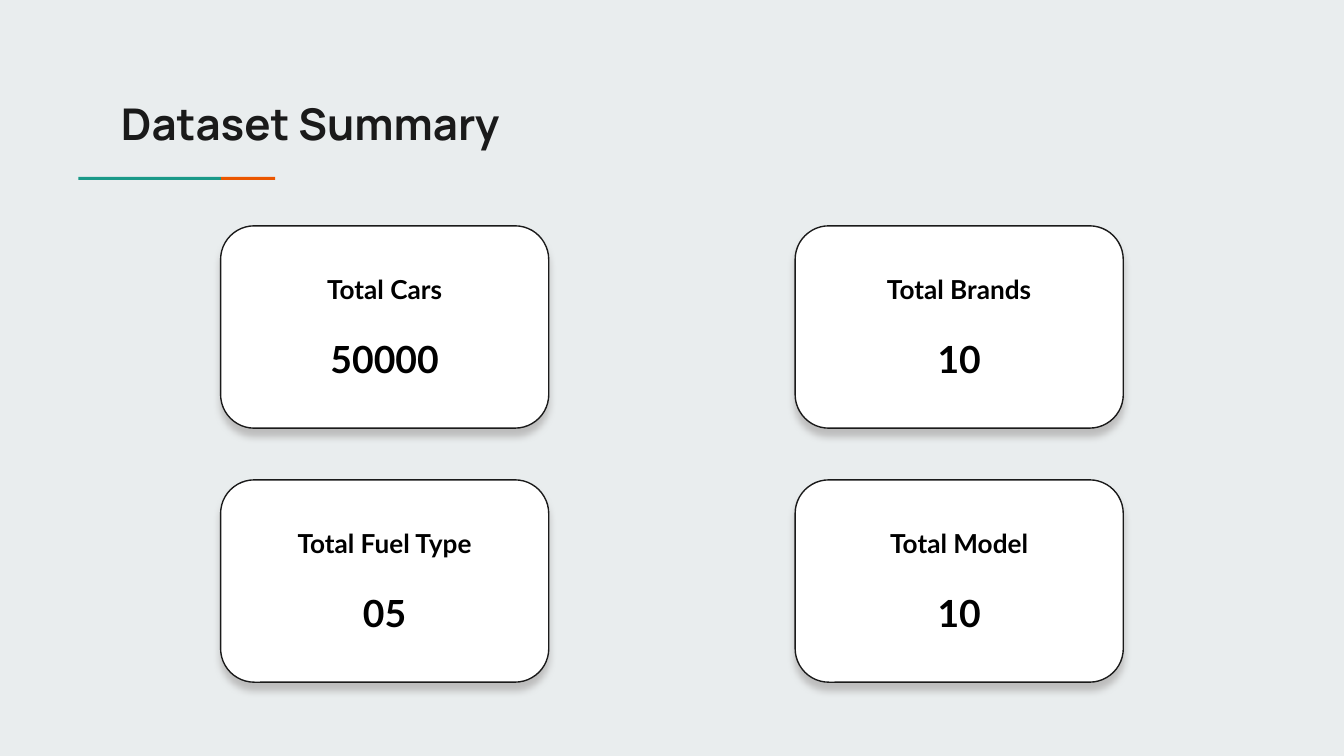
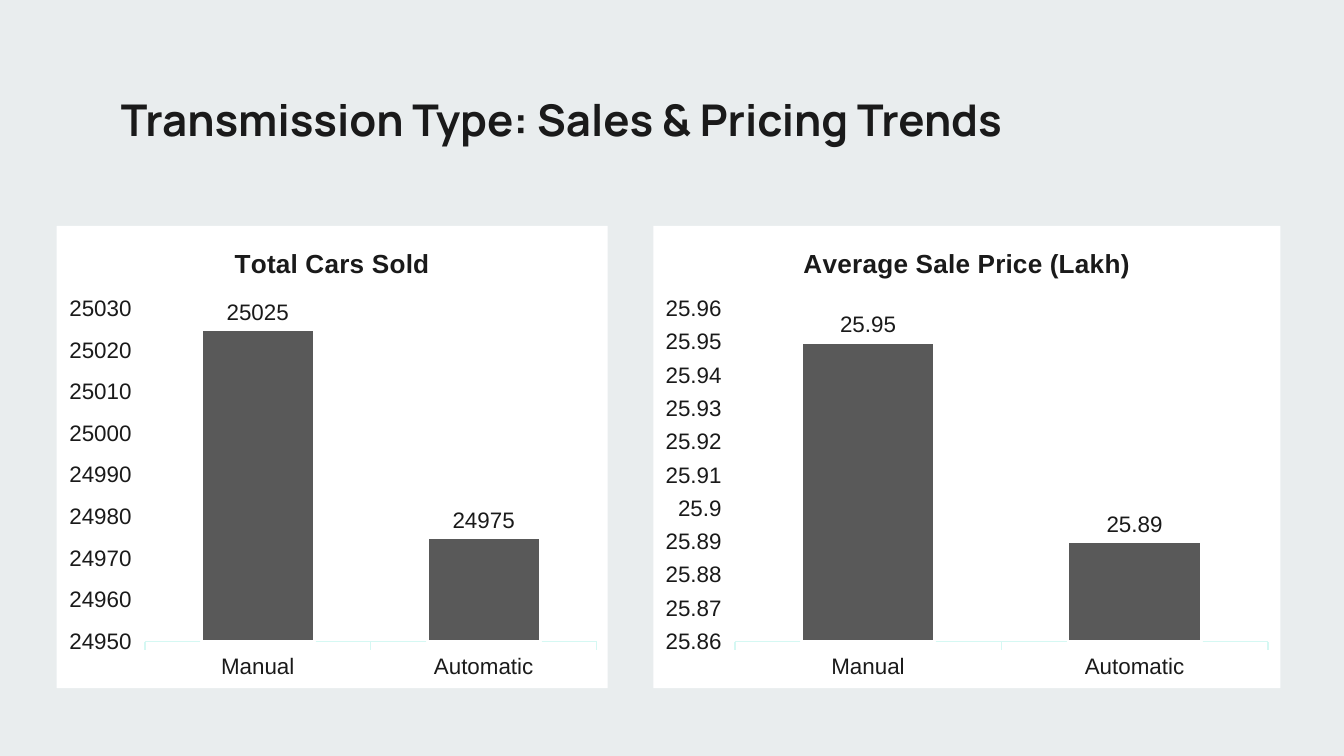
from dataclasses import dataclass

from lxml import etree
from pptx import Presentation
from pptx.chart.data import CategoryChartData
from pptx.dml.color import RGBColor
from pptx.enum.chart import XL_CHART_TYPE, XL_LABEL_POSITION, XL_TICK_MARK
from pptx.enum.shapes import MSO_SHAPE
from pptx.enum.text import MSO_ANCHOR, MSO_AUTO_SIZE, PP_ALIGN
from pptx.oxml import parse_xml
from pptx.oxml.ns import nsdecls, qn
from pptx.util import Pt

RECTANGLE = MSO_SHAPE.RECTANGLE
ROUNDED = MSO_SHAPE.ROUNDED_RECTANGLE
COLUMNS = XL_CHART_TYPE.COLUMN_CLUSTERED
OUTSIDE_END = XL_LABEL_POSITION.OUTSIDE_END
TICK_OUTSIDE = XL_TICK_MARK.OUTSIDE
LEFT, CENTER = PP_ALIGN.LEFT, PP_ALIGN.CENTER
TOP, MIDDLE = MSO_ANCHOR.TOP, MSO_ANCHOR.MIDDLE
NO_AUTOFIT = MSO_AUTO_SIZE.NONE

# Shared style
PAGE_WIDTH, PAGE_HEIGHT = 720, 405
TITLE_ONLY = 5
INSET = 7.2
TITLE_FONT, CARD_FONT, CHART_FONT = "Manrope", "Lato", "Arial"
MIST, WHITE, INK, BLACK = "E9EDEE", "FFFFFF", "1A1A1A", "000000"
TEAL, ORANGE = "1A9988", "EB5600"
BAR_GREY, AXIS_MINT, SHADOW_GREY = "595959", "D5F8F3", "BDBDBD"


@dataclass
class Stripe:
    left: float
    top: float
    width: float
    height: float
    color: str


@dataclass
class Card:
    label: str
    value: str
    column: int
    row: int


@dataclass
class ColumnChart:
    title: str
    left: float
    width: float
    values: tuple
    low: float
    high: float
    step: float
    plot_left: float
    plot_width: float


ACCENT_LINE = [
    Stripe(42, 94.8, 76.4, 1.6, TEAL),
    Stripe(118.4, 94.8, 29, 1.6, ORANGE),
]
BACKDROP = [
    Stripe(0, 0, PAGE_WIDTH, 38, MIST),
    Stripe(0, 34.4, PAGE_WIDTH, PAGE_HEIGHT - 34.4, MIST),
]

CARDS = [
    Card("Total Cars", "50000", 0, 0),
    Card("Total Fuel Type", "05", 0, 1),
    Card("Total Brands", "10", 1, 0),
    Card("Total Model", "10", 1, 1),
]
CARD_LEFT, CARD_TOP = 118.2, 121
CARD_WIDTH, CARD_HEIGHT = 175.8, 108.4
CARD_STEP_X, CARD_STEP_Y = 307.8, 136.1

CATEGORIES = ("Manual", "Automatic")
CHARTS = [
    ColumnChart("Average Sale Price (Lakh)", 350, 336, (25.95, 25.89),
                25.86, 25.96, 0.01, 0.13, 0.85),
    ColumnChart("Total Cars Sold", 30.4, 295.2, (25025, 24975),
                24950, 25030, 10, 0.16, 0.82),
]
CHART_TOP, CHART_HEIGHT = 121, 247.6
PLOT_TOP, PLOT_HEIGHT = 0.18, 0.72


def rgb(color: str) -> RGBColor:
    return RGBColor.from_string(color)


def style_font(font, size: float, color: str, name: str, bold: bool = False) -> None:
    font.size = Pt(size)
    font.name = name
    font.bold = bold
    font.color.rgb = rgb(color)


def set_insets(frame) -> None:
    frame.margin_left = frame.margin_right = Pt(INSET)
    frame.margin_top = frame.margin_bottom = Pt(INSET)


def add_page(deck, background: str):
    page = deck.slides.add_slide(deck.slide_layouts[TITLE_ONLY])
    page.background.fill.solid()
    page.background.fill.fore_color.rgb = rgb(background)
    return page


def set_title(page, text: str, top: float) -> None:
    box = page.shapes.title
    box.left, box.top, box.width, box.height = Pt(57.6), Pt(top), Pt(605.5), Pt(42.5)
    frame = box.text_frame
    frame.word_wrap = True
    frame.auto_size = NO_AUTOFIT
    frame.vertical_anchor = TOP
    set_insets(frame)
    para = frame.paragraphs[0]
    para.alignment = LEFT
    span = para.add_run()
    span.text = text
    style_font(span.font, 23.4, INK, TITLE_FONT, True)


def draw_stripe(page, stripe: Stripe) -> None:
    box = page.shapes.add_shape(RECTANGLE, Pt(stripe.left), Pt(stripe.top),
                                Pt(stripe.width), Pt(stripe.height))
    box.shadow.inherit = False
    box.fill.solid()
    box.fill.fore_color.rgb = rgb(stripe.color)
    box.line.fill.background()


def add_drop_shadow(box) -> None:
    box.shadow.inherit = False
    effects = box.element.spPr.find(qn("a:effectLst"))
    shadow = etree.SubElement(effects, qn("a:outerShdw"), blurRad=str(Pt(4)),
                              dist=str(Pt(4)), dir="5400000", algn="t", rotWithShape="0")
    etree.SubElement(shadow, qn("a:srgbClr"), val=SHADOW_GREY)


def draw_card(page, card: Card) -> None:
    box = page.shapes.add_shape(ROUNDED, Pt(CARD_LEFT + card.column * CARD_STEP_X),
                                Pt(CARD_TOP + card.row * CARD_STEP_Y),
                                Pt(CARD_WIDTH), Pt(CARD_HEIGHT))
    box.fill.solid()
    box.fill.fore_color.rgb = rgb(WHITE)
    box.line.color.rgb = rgb(INK)
    box.line.width = Pt(0.75)
    add_drop_shadow(box)

    frame = box.text_frame
    frame.word_wrap = True
    frame.vertical_anchor = MIDDLE
    set_insets(frame)
    label, value = frame.paragraphs[0], frame.add_paragraph()
    label.space_after = Pt(16.8)
    for para, text, size in ((label, card.label, 14), (value, card.value, 20)):
        para.alignment = CENTER
        span = para.add_run()
        span.text = text
        style_font(span.font, size, BLACK, CARD_FONT, True)


def fill_chart_area(chart, color: str) -> None:
    area = parse_xml(
        f'<c:spPr {nsdecls("c", "a")}><a:solidFill><a:srgbClr val="{color}"/></a:solidFill>'
        "<a:ln><a:noFill/></a:ln></c:spPr>")
    chart.element.find(qn("c:chart")).addnext(area)


def place_plot(chart, left: float, width: float) -> None:
    plot_area = chart.element.find(qn("c:chart")).find(qn("c:plotArea"))
    for old in plot_area.findall(qn("c:layout")):
        plot_area.remove(old)
    layout = etree.Element(qn("c:layout"))
    manual = etree.SubElement(layout, qn("c:manualLayout"))
    settings = (("layoutTarget", "inner"), ("xMode", "edge"), ("yMode", "edge"),
                ("x", left), ("y", PLOT_TOP), ("w", width), ("h", PLOT_HEIGHT))
    for tag, value in settings:
        etree.SubElement(manual, qn(f"c:{tag}"), val=str(value))
    plot_area.insert(0, layout)


def style_axes(chart, item: ColumnChart) -> None:
    for axis in (chart.category_axis, chart.value_axis):
        axis.has_major_gridlines = False
        axis.major_tick_mark = TICK_OUTSIDE
        style_font(axis.tick_labels.font, 12, INK, CHART_FONT)
    chart.category_axis.format.line.color.rgb = rgb(AXIS_MINT)
    chart.category_axis.format.line.width = Pt(0.75)
    scale = chart.value_axis
    scale.format.line.fill.background()
    scale.minimum_scale, scale.maximum_scale = item.low, item.high
    scale.major_unit = item.step


def draw_chart(page, item: ColumnChart) -> None:
    data = CategoryChartData()
    data.categories = CATEGORIES
    data.add_series("Series 1", item.values)
    chart = page.shapes.add_chart(COLUMNS, Pt(item.left), Pt(CHART_TOP), Pt(item.width),
                                  Pt(CHART_HEIGHT), data).chart
    style_font(chart.font, 10, TEAL, CHART_FONT)
    chart.has_legend = False
    fill_chart_area(chart, WHITE)
    place_plot(chart, item.plot_left, item.plot_width)
    style_axes(chart, item)

    # Chart title
    chart.has_title = True
    span = chart.chart_title.text_frame.paragraphs[0].add_run()
    span.text = item.title
    style_font(span.font, 14, INK, CHART_FONT, True)

    # Columns and their labels
    plot = chart.plots[0]
    plot.gap_width = 100
    plot.vary_by_categories = False
    columns = plot.series[0]
    columns.format.fill.solid()
    columns.format.fill.fore_color.rgb = rgb(BAR_GREY)
    columns.format.line.color.rgb = rgb(WHITE)
    columns.format.line.width = Pt(1.5)
    labels = columns.data_labels
    labels.show_value = True
    labels.position = OUTSIDE_END
    style_font(labels.font, 12, INK, CHART_FONT)


def build_summary(deck) -> None:
    page = add_page(deck, MIST)
    for stripe in ACCENT_LINE:
        draw_stripe(page, stripe)
    set_title(page, "Dataset Summary", 44.6)
    for card in CARDS:
        draw_card(page, card)


def build_transmission(deck) -> None:
    page = add_page(deck, WHITE)
    for stripe in BACKDROP:
        draw_stripe(page, stripe)
    # Lift the title above the backdrop
    page.shapes.element.append(page.shapes.title.element)
    set_title(page, "Transmission Type: Sales & Pricing Trends", 42.5)
    for item in CHARTS:
        draw_chart(page, item)


def main() -> None:
    deck = Presentation()
    deck.slide_width, deck.slide_height = Pt(PAGE_WIDTH), Pt(PAGE_HEIGHT)
    build_summary(deck)
    build_transmission(deck)
    deck.save("out.pptx")


if __name__ == "__main__":
    main()
